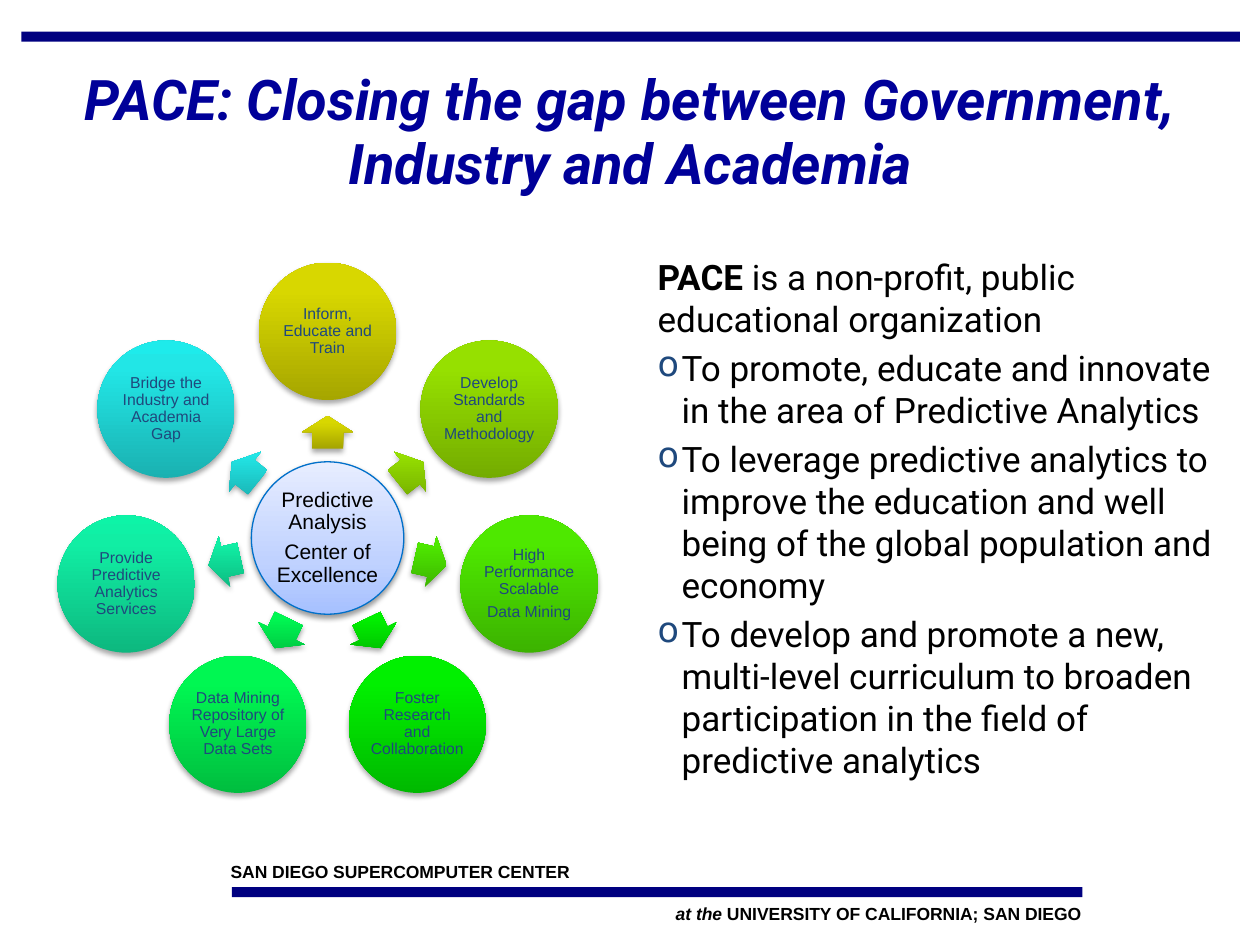
"""Build the PACE slide: a seven-spoke wheel beside its mission statement."""
import math
from dataclasses import dataclass

from lxml import etree
from pptx import Presentation
from pptx.dml.color import RGBColor
from pptx.enum.shapes import MSO_SHAPE
from pptx.enum.text import MSO_ANCHOR, PP_ALIGN
from pptx.oxml.ns import qn
from pptx.util import Inches, Pt

OVAL, ARROW, BAR = MSO_SHAPE.OVAL, MSO_SHAPE.RIGHT_ARROW, MSO_SHAPE.RECTANGLE
LEFT, CENTER, RIGHT = PP_ALIGN.LEFT, PP_ALIGN.CENTER, PP_ALIGN.RIGHT
MIDDLE = MSO_ANCHOR.MIDDLE


@dataclass(frozen=True)
class Theme:
    navy: str = "000080"
    title: str = "000099"
    ink: str = "000000"
    accent: str = "1F497D"
    hub_line: str = "0070CA"
    heading_font: str = "Roboto"
    label_font: str = "Arial"
    title_size: float = 32
    body_size: float = 20
    hub_size: float = 12
    footer_size: float = 10
    spoke_size: float = 9


@dataclass(frozen=True)
class Style:
    font: str
    size: float
    color: str


@dataclass(frozen=True)
class Span:
    text: str
    bold: bool = False
    italic: bool = False


@dataclass(frozen=True)
class Gradient:
    stops: tuple[tuple[int, str], ...]
    shadow_alpha: int = 35
    shadow_distance: float = 1.8


@dataclass(frozen=True)
class Spoke:
    lines: tuple[str, ...]
    colors: tuple[str, str, str]


THEME = Theme()
TITLE = Style(THEME.heading_font, THEME.title_size, THEME.title)
BODY = Style(THEME.heading_font, THEME.body_size, THEME.ink)
HUB = Style(THEME.label_font, THEME.hub_size, THEME.ink)
FOOTER = Style(THEME.label_font, THEME.footer_size, THEME.ink)
LABEL = Style(THEME.label_font, THEME.spoke_size, THEME.accent)

HUB_X, HUB_Y, HUB_DIAMETER = 2.6, 4.27, 1.21
SPOKE_RADIUS, SPOKE_DIAMETER = 1.64, 1.09
ARROW_RADIUS, ARROW_LENGTH, ARROW_BREADTH = 0.84, 0.26, 0.41
HUB_GRADIENT = Gradient(((0, "A6C0FF"), (35, "C0D2FF"), (100, "E7EDFF")), 38, 1.6)

SPOKES = (
    Spoke(("Inform, Educate and Train",), ("A6A600", "D8D700", "D9D800")),
    Spoke(("Develop Standards and Methodology",), ("74AC00", "96E000", "97E100")),
    Spoke(("High Performance Scalable", "Data Mining"), ("3CB300", "4EE800", "4EE900")),
    Spoke(("Foster Research and Collaboration",), ("00B900", "01F000", "01F100")),
    Spoke(("Data Mining Repository of Very Large Data Sets",), ("00BE3F", "00F752", "00F953")),
    Spoke(("Provide Predictive Analytics Services",), ("0DB87F", "11EEA4", "0DF4A7")),
    Spoke(("Bridge the Industry and Academia Gap",), ("1AB1B1", "22E6E6", "1EEBEB")),
)
MISSION = (
    "To promote, educate and innovate in the area of Predictive Analytics",
    "To leverage predictive analytics to improve the education and well being "
    "of the global population and economy",
    "To develop and promote a new, multi-level curriculum to broaden "
    "participation in the field of predictive analytics",
)


def add_spans(para, spans: tuple[Span, ...], style: Style) -> None:
    for item in spans:
        span = para.add_run()
        span.text = item.text
        span.font.name = style.font
        span.font.size = Pt(style.size)
        span.font.color.rgb = RGBColor.from_string(style.color)
        span.font.bold = item.bold
        span.font.italic = item.italic


def set_margins(frame, left: float, top: float, right: float, bottom: float) -> None:
    frame.word_wrap = True
    frame.margin_left, frame.margin_top = Inches(left), Inches(top)
    frame.margin_right, frame.margin_bottom = Inches(right), Inches(bottom)


def add_text(page, left: float, top: float, width: float, height: float,
             spans: tuple[Span, ...], style: Style, align=LEFT):
    box = page.shapes.add_textbox(Inches(left), Inches(top), Inches(width), Inches(height))
    set_margins(box.text_frame, 0, 0, 0, 0)
    para = box.text_frame.paragraphs[0]
    para.alignment = align
    add_spans(para, spans, style)
    return box


def add_bullet(para, text: str) -> None:
    para.level = 1
    properties = para._p.get_or_add_pPr()
    properties.set("marL", str(Inches(0.19)))
    properties.set("indent", str(-Inches(0.19)))
    color = etree.SubElement(properties, qn("a:buClr"))
    etree.SubElement(color, qn("a:srgbClr"), val=THEME.accent)
    etree.SubElement(properties, qn("a:buChar"), char="o")
    para.space_before = Pt(4)
    add_spans(para, (Span(text),), BODY)


def add_bar(page, left: float, top: float, width: float) -> None:
    bar = page.shapes.add_shape(BAR, Inches(left), Inches(top), Inches(width), Inches(0.08))
    bar.shadow.inherit = False
    bar.fill.solid()
    bar.fill.fore_color.rgb = RGBColor.from_string(THEME.navy)
    bar.line.fill.background()


def add_glossy(page, kind, x: float, y: float, width: float, height: float, gradient: Gradient):
    shape = page.shapes.add_shape(kind, Inches(x - width / 2), Inches(y - height / 2),
                                  Inches(width), Inches(height))
    shape.shadow.inherit = False
    shape.line.fill.background()
    shape.fill.gradient()
    shape.fill.gradient_angle = 90
    properties = shape._element.spPr
    fill = properties.find(qn("a:gradFill"))
    fill.set("rotWithShape", "0")
    stops = fill.find(qn("a:gsLst"))
    stops.clear()
    for position, color in gradient.stops:
        stop = etree.SubElement(stops, qn("a:gs"), pos=str(position * 1000))
        etree.SubElement(stop, qn("a:srgbClr"), val=color)
    shadow = etree.SubElement(
        properties.find(qn("a:effectLst")), qn("a:outerShdw"), blurRad=str(Pt(3.1)),
        dist=str(Pt(gradient.shadow_distance)), dir="5400000", rotWithShape="0")
    shade = etree.SubElement(shadow, qn("a:srgbClr"), val=THEME.ink)
    etree.SubElement(shade, qn("a:alpha"), val=str(gradient.shadow_alpha * 1000))
    return shape


def add_disc(page, x: float, y: float, diameter: float, gradient: Gradient,
             lines: tuple[str, ...], style: Style, margin: float):
    disc = add_glossy(page, OVAL, x, y, diameter, diameter, gradient)
    frame = disc.text_frame
    set_margins(frame, margin, margin, margin, margin)
    frame.vertical_anchor = MIDDLE
    for index, line in enumerate(lines):
        para = frame.add_paragraph() if index else frame.paragraphs[0]
        para.alignment = CENTER
        para.line_spacing = 0.9
        para.space_after = Pt(0.35 * style.size)
        add_spans(para, (Span(line),), style)
    return disc


def add_wheel(page) -> None:
    hub = add_disc(page, HUB_X, HUB_Y, HUB_DIAMETER, HUB_GRADIENT,
                   ("Predictive Analysis", "Center of Excellence"), HUB, 0.02)
    hub.line.color.rgb = RGBColor.from_string(THEME.hub_line)
    hub.line.width = Pt(0.75)
    for index, spoke in enumerate(SPOKES):
        degrees = index * 360 / len(SPOKES) - 90
        across, down = math.cos(math.radians(degrees)), math.sin(math.radians(degrees))
        gradient = Gradient(tuple(zip((0, 80, 100), spoke.colors)))
        arrow = add_glossy(page, ARROW, HUB_X + ARROW_RADIUS * across,
                           HUB_Y + ARROW_RADIUS * down, ARROW_LENGTH, ARROW_BREADTH, gradient)
        arrow.adjustments[0], arrow.adjustments[1] = 0.6, 0.5
        arrow.rotation = degrees % 360
        add_disc(page, HUB_X + SPOKE_RADIUS * across, HUB_Y + SPOKE_RADIUS * down,
                 SPOKE_DIAMETER, gradient, spoke.lines, LABEL, 0.01)


def main() -> None:
    deck = Presentation()
    deck.slide_width, deck.slide_height = Inches(10), Inches(7.5)
    page = deck.slides.add_slide(deck.slide_layouts[6])
    add_bar(page, 0.17, 0.25, 9.67)
    add_bar(page, 1.84, 7.04, 6.75)
    add_text(page, 1.83, 6.83, 6.25, 0.17,
             (Span("SAN DIEGO SUPERCOMPUTER CENTER", bold=True),), FOOTER)
    add_text(page, 2.33, 7.17, 6.25, 0.17,
             (Span("at the", bold=True, italic=True),
              Span(" UNIVERSITY OF CALIFORNIA; SAN DIEGO", bold=True)), FOOTER, RIGHT)
    heading = "PACE: Closing the gap between Government, Industry and Academia"
    title = add_text(page, 0.2, 0.5, 9.61, 0.71, (Span(heading, True, True),), TITLE, CENTER)
    set_margins(title.text_frame, 0.1, 0.05, 0.1, 0)
    title.text_frame.paragraphs[0].line_spacing = 0.95
    body = add_text(page, 5.22, 2.03, 4.53, 5.14,
                    (Span("PACE", bold=True),
                     Span(" is a non-profit, public educational organization")), BODY)
    for goal in MISSION:
        add_bullet(body.text_frame.add_paragraph(), goal)
    add_wheel(page)
    deck.save("out.pptx")


if __name__ == "__main__":
    main()
